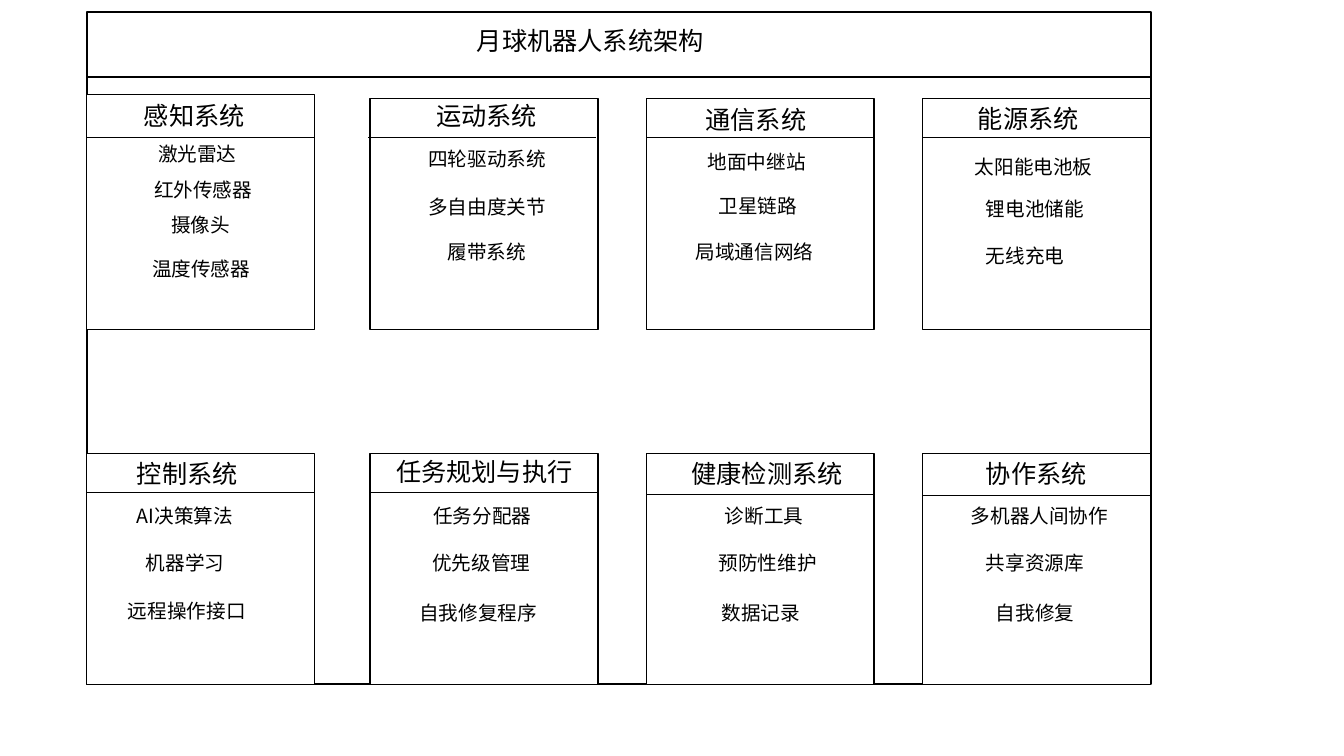
from lxml import etree
from pptx import Presentation
from pptx.dml.color import RGBColor
from pptx.enum import shapes, text
from pptx.oxml import ns

PX = 9144  # EMU per px, 100 px to the inch
THEME = {
    "font": "Noto Sans CJK SC",
    "ink": RGBColor(0, 0, 0),
    "paper": RGBColor(255, 255, 255),
    "heading": 18, "item": 14,
    "frame_line": 1.5, "card_line": 1, "rule_line": 0.5,
}
PT = 12700  # EMU per point
CARD_LEFTS = [86, 367, 641, 915]
CARD_WIDTH = 226
HEADING_HEIGHT, ITEM_HEIGHT = 40, 34

# Each card: (top, height), heading (words, left, top, width),
# rule (left, top), items (words, left, top)
CARDS = [
    ((94, 233), ("感知系统", 133, 95, 174), (86, 136),
     [("激光雷达", 147, 136), ("红外传感器", 143, 172), ("摄像头", 160, 206), ("温度传感器", 141, 250)]),
    ((98, 229), ("运动系统", 423, 95, 133), (365, 136),
     [("四轮驱动系统", 415, 141), ("多自由度关节", 415, 188), ("履带系统", 434, 233)]),
    ((98, 229), ("通信系统", 690, 99, 133), (641, 136),
     [("地面中继站", 692, 144), ("卫星链路", 703, 187), ("局域通信网络", 680, 233)]),
    ((98, 229), ("能源系统", 960, 98, 133), (915, 136),
     [("太阳能电池板", 957, 149), ("锂电池储能", 968, 190), ("无线充电", 968, 237)]),
    ((450, 229), ("控制系统", 126, 450, 174), (86, 488),
     [("AI决策算法", 126, 495), ("机器学习", 135, 542), ("远程操作接口", 117, 589)]),
    ((450, 229), ("任务规划与执行", 383, 448, 200), (367, 488),
     [("任务分配器", 420, 495), ("优先级管理", 419, 542), ("自我修复程序", 406, 591)]),
    ((450, 229), ("健康检测系统", 676, 450, 174), (641, 490),
     [("诊断工具", 709, 495), ("预防性维护", 703, 542), ("数据记录", 706, 591)]),
    ((450, 229), ("协作系统", 968, 450, 174), (915, 491),
     [("多机器人间协作", 953, 495), ("共享资源库", 968, 542), ("自我修复", 978, 591)]),
]

presentation = Presentation()
presentation.slide_width, presentation.slide_height = 1333 * PX, 750 * PX
slide = presentation.slides.add_slide(presentation.slide_layouts[5])


def draw(kind, left, top, width, height, weight):
    """Add an outlined white box, or a horizontal line."""
    if kind == "box":
        shape = slide.shapes.add_shape(
            shapes.MSO_SHAPE.RECTANGLE, left * PX, top * PX, width * PX, height * PX)
        shape.shadow.inherit = False
        shape.fill.solid()
        shape.fill.fore_color.rgb = THEME["paper"]
    else:
        shape = slide.shapes.add_connector(
            shapes.MSO_CONNECTOR.STRAIGHT, left * PX, top * PX, (left + width) * PX, top * PX)
        etree.SubElement(shape.element.spPr, ns.qn("a:effectLst"))
    shape.line.color.rgb = THEME["ink"]
    shape.line.width = int(weight * PT)


def write(words, left, top, width, height, size, shape=None):
    """Write one left-aligned line in a new text box or a given shape."""
    shape = shape or slide.shapes.add_textbox(0, 0, 0, 0)
    shape.left, shape.top = left * PX, top * PX
    shape.width, shape.height = width * PX, height * PX
    frame = shape.text_frame
    frame.word_wrap = True
    frame.auto_size = text.MSO_AUTO_SIZE.SHAPE_TO_FIT_TEXT
    frame.vertical_anchor = text.MSO_ANCHOR.TOP
    paragraph = frame.paragraphs[0]
    paragraph.alignment = text.PP_ALIGN.LEFT
    run = paragraph.add_run()
    run.text = words
    run.font.size = size * PT
    run.font.color.rgb = THEME["ink"]
    run.font.name = THEME["font"]
    east_asian = etree.SubElement(run.font._element, ns.qn("a:ea"))
    east_asian.set("typeface", THEME["font"])


# Outer frame and title bar
draw("box", 86, 12, 1056, 667, THEME["frame_line"])
draw("line", 86, 76, 1056, 0, THEME["frame_line"])
title = slide.shapes.title
title.element.getparent().append(title.element)  # bring in front of the frame
write("月球机器人系统架构", 463, 20, 426, HEADING_HEIGHT, THEME["heading"], title)

# Subsystem cards, four to a row
for index, ((card_top, card_height), heading, rule, items) in enumerate(CARDS):
    card_left = CARD_LEFTS[index % len(CARD_LEFTS)]
    draw("box", card_left, card_top, CARD_WIDTH, card_height, THEME["card_line"])
    draw("line", *rule, CARD_WIDTH, 0, THEME["rule_line"])
    write(*heading, HEADING_HEIGHT, THEME["heading"])
    for words, left, top in items:
        width = 162 if len(words) > 6 else 153
        write(words, left, top, width, ITEM_HEIGHT, THEME["item"])

presentation.save("out.pptx")
